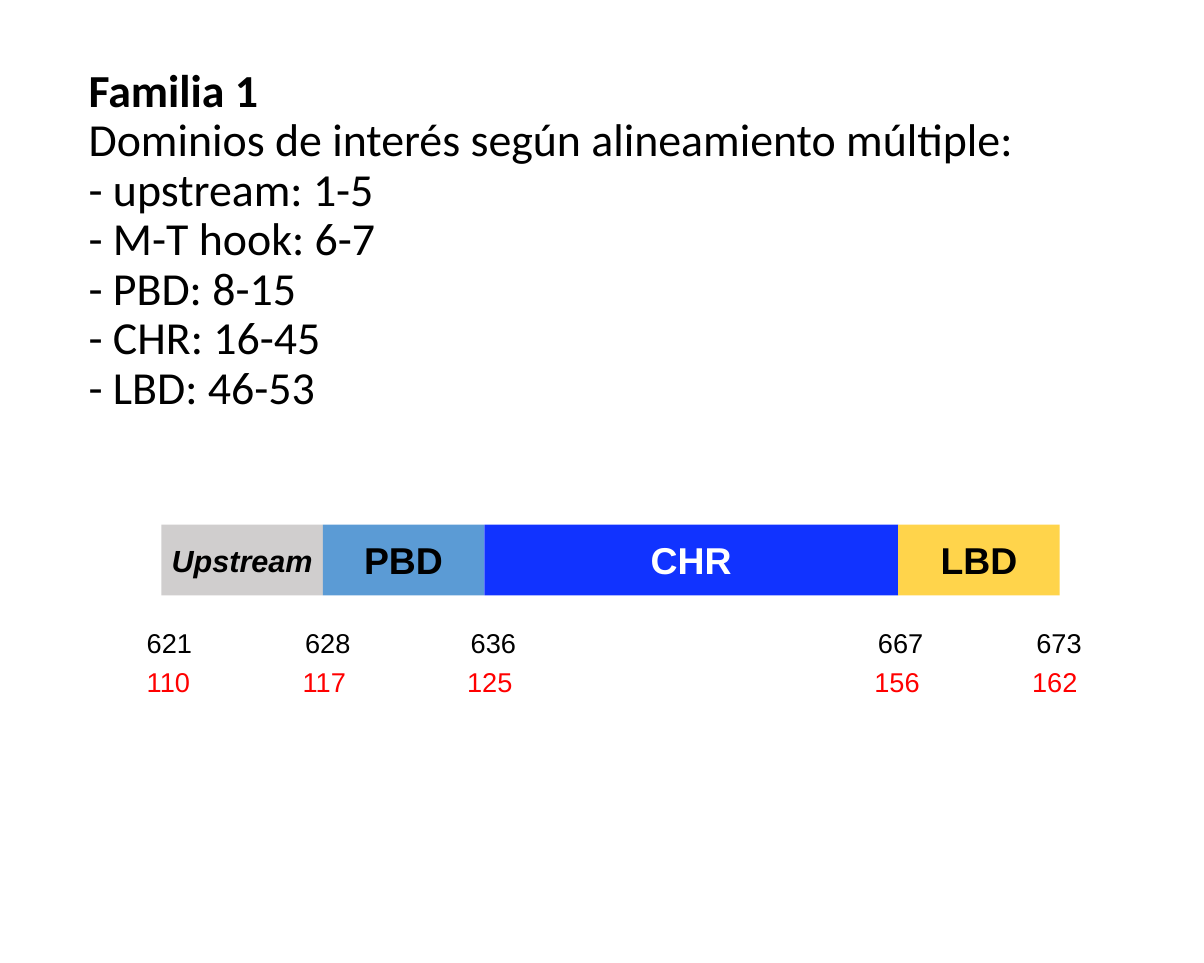
from dataclasses import dataclass

from lxml import etree
from pptx import Presentation
from pptx.dml.color import RGBColor
from pptx.enum.shapes import MSO_SHAPE
from pptx.enum.text import MSO_ANCHOR, PP_ALIGN
from pptx.oxml.ns import qn
from pptx.slide import Slide
from pptx.text.text import TextFrame, _Run
from pptx.util import Inches, Pt

RECTANGLE = MSO_SHAPE.RECTANGLE
MIDDLE = MSO_ANCHOR.MIDDLE
CENTER = PP_ALIGN.CENTER


@dataclass(frozen=True)
class Theme:
    heading_font: str = "Calibri"
    diagram_font: str = "Arial"
    heading_size: int = 54
    domain_size: int = 44
    upstream_size: int = 36
    position_size: int = 32
    black: str = "000000"
    white: str = "FFFFFF"
    red: str = "FF0000"
    grey: str = "D0CECE"
    light_blue: str = "5B9BD5"
    blue: str = "1133FF"
    yellow: str = "FFD44B"


@dataclass(frozen=True)
class Domain:
    label: str
    width: float
    fill: str
    color: str
    size: int
    italic: bool = False


@dataclass(frozen=True)
class PositionRow:
    positions: tuple[int, ...]
    tab_stops: tuple[float, ...]
    top: float
    color: str


THEME = Theme()
BAR_LEFT, BAR_TOP, BAR_HEIGHT = 2.64, 8.58, 1.16

FAMILY = "Familia 1"
DOMAIN_LIST = (
    "Dominios de interés según alineamiento múltiple:",
    "- upstream: 1-5",
    "- M-T hook: 6-7",
    "- PBD: 8-15",
    "- CHR: 16-45",
    "- LBD: 46-53",
)
DOMAINS = (
    Domain("Upstream", 2.64, THEME.grey, THEME.black, THEME.upstream_size, True),
    Domain("PBD", 2.64, THEME.light_blue, THEME.black, THEME.domain_size),
    Domain("CHR", 6.77, THEME.blue, THEME.white, THEME.domain_size),
    Domain("LBD", 2.64, THEME.yellow, THEME.black, THEME.domain_size),
)
POSITION_ROWS = (
    PositionRow((621, 628, 636, 667, 673), (2.59, 5.30, 11.96, 14.55), 10.19, THEME.black),
    PositionRow((110, 117, 125, 156, 162), (2.55, 5.24, 11.90, 14.48), 10.83, THEME.red),
)


def style_run(run: _Run, font: str, size: int, color: str,
              bold: bool = False, italic: bool = False) -> None:
    run.font.name = font
    run.font.size = Pt(size)
    run.font.color.rgb = RGBColor.from_string(color)
    run.font.bold = bold
    run.font.italic = italic


def add_text_frame(slide: Slide, left: float, top: float,
                   width: float, height: float) -> TextFrame:
    box = slide.shapes.add_textbox(Inches(left), Inches(top), Inches(width), Inches(height))
    box.text_frame.word_wrap = True
    return box.text_frame


def draw_heading(slide: Slide) -> None:
    frame = add_text_frame(slide, 1.35, 0.84, 16.98, 6.2)
    frame.vertical_anchor = MIDDLE
    heading = frame.paragraphs[0]
    heading.text = "\n".join((FAMILY, *DOMAIN_LIST))
    heading.line_spacing = 0.9
    for index, run in enumerate(heading.runs):
        style_run(run, THEME.heading_font, THEME.heading_size, THEME.black, bold=index == 0)


def draw_domain(slide: Slide, domain: Domain, left: float) -> None:
    segment = slide.shapes.add_shape(RECTANGLE, Inches(left), Inches(BAR_TOP),
                                     Inches(domain.width), Inches(BAR_HEIGHT))
    segment.shadow.inherit = False
    segment.fill.solid()
    segment.fill.fore_color.rgb = RGBColor.from_string(domain.fill)
    segment.line.fill.background()
    segment.text_frame.vertical_anchor = MIDDLE
    label = segment.text_frame.paragraphs[0]
    label.text = domain.label
    label.alignment = CENTER
    style_run(label.runs[0], THEME.diagram_font, domain.size, domain.color, True, domain.italic)


def draw_positions(slide: Slide, row: PositionRow) -> None:
    line = add_text_frame(slide, 2.3, row.top, 16.25, 0.64).paragraphs[0]
    line.text = "\t".join(str(position) for position in row.positions)
    style_run(line.runs[0], THEME.diagram_font, THEME.position_size, row.color)
    # Tab stops place each number under its domain boundary
    tab_list = etree.SubElement(line._p.get_or_add_pPr(), qn("a:tabLst"))
    for stop in row.tab_stops:
        etree.SubElement(tab_list, qn("a:tab"), pos=str(Inches(stop)), algn="l")


def main() -> None:
    presentation = Presentation()
    presentation.slide_width = Inches(19.69)
    presentation.slide_height = Inches(15.75)
    slide = presentation.slides.add_slide(presentation.slide_layouts[6])

    # Family name and its list of domains
    draw_heading(slide)

    # Domain bar, each segment starting where the last one ends
    left = BAR_LEFT
    for domain in DOMAINS:
        draw_domain(slide, domain, left)
        left += domain.width

    # Residue positions below the bar
    for row in POSITION_ROWS:
        draw_positions(slide, row)

    presentation.save("out.pptx")


if __name__ == "__main__":
    main()
